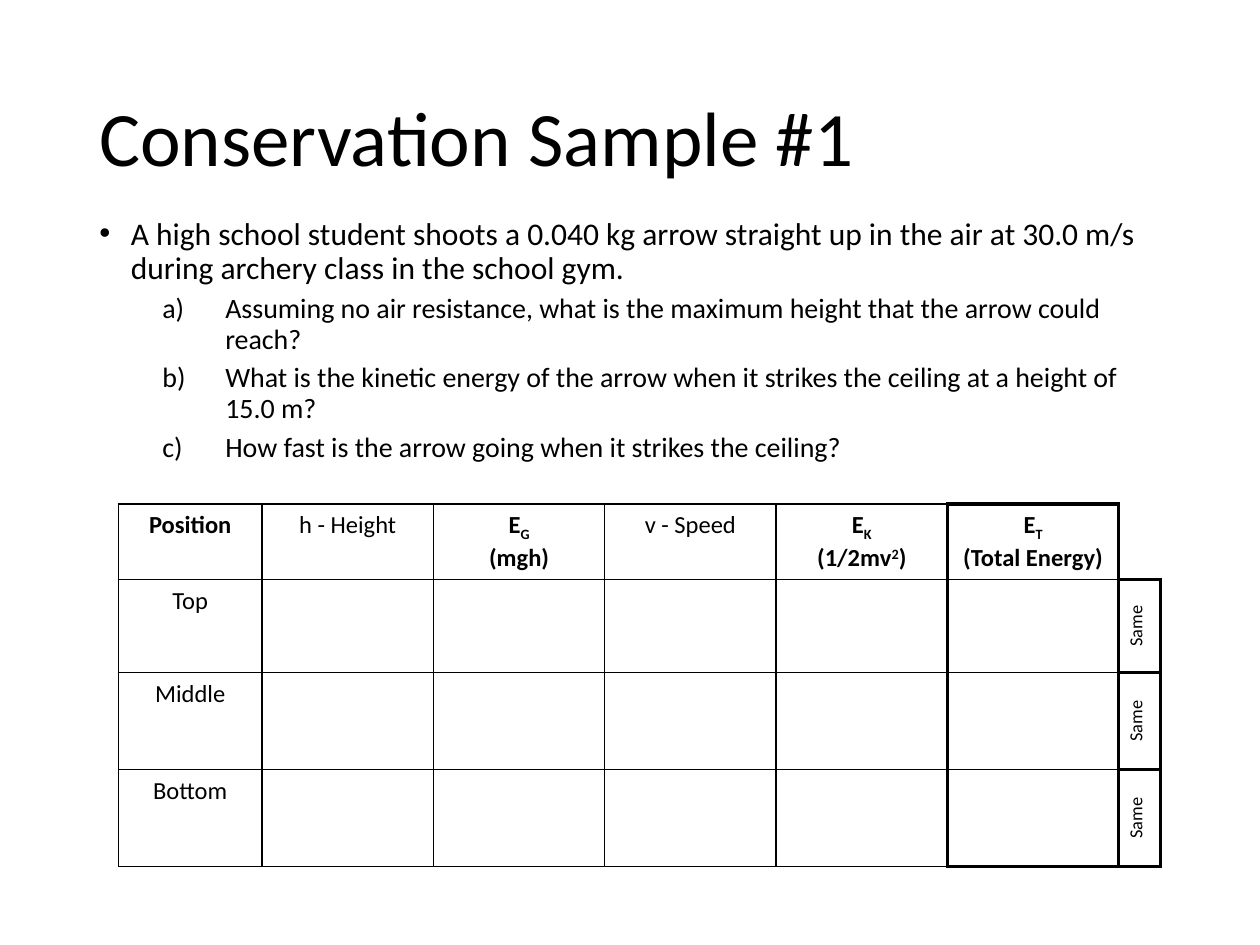
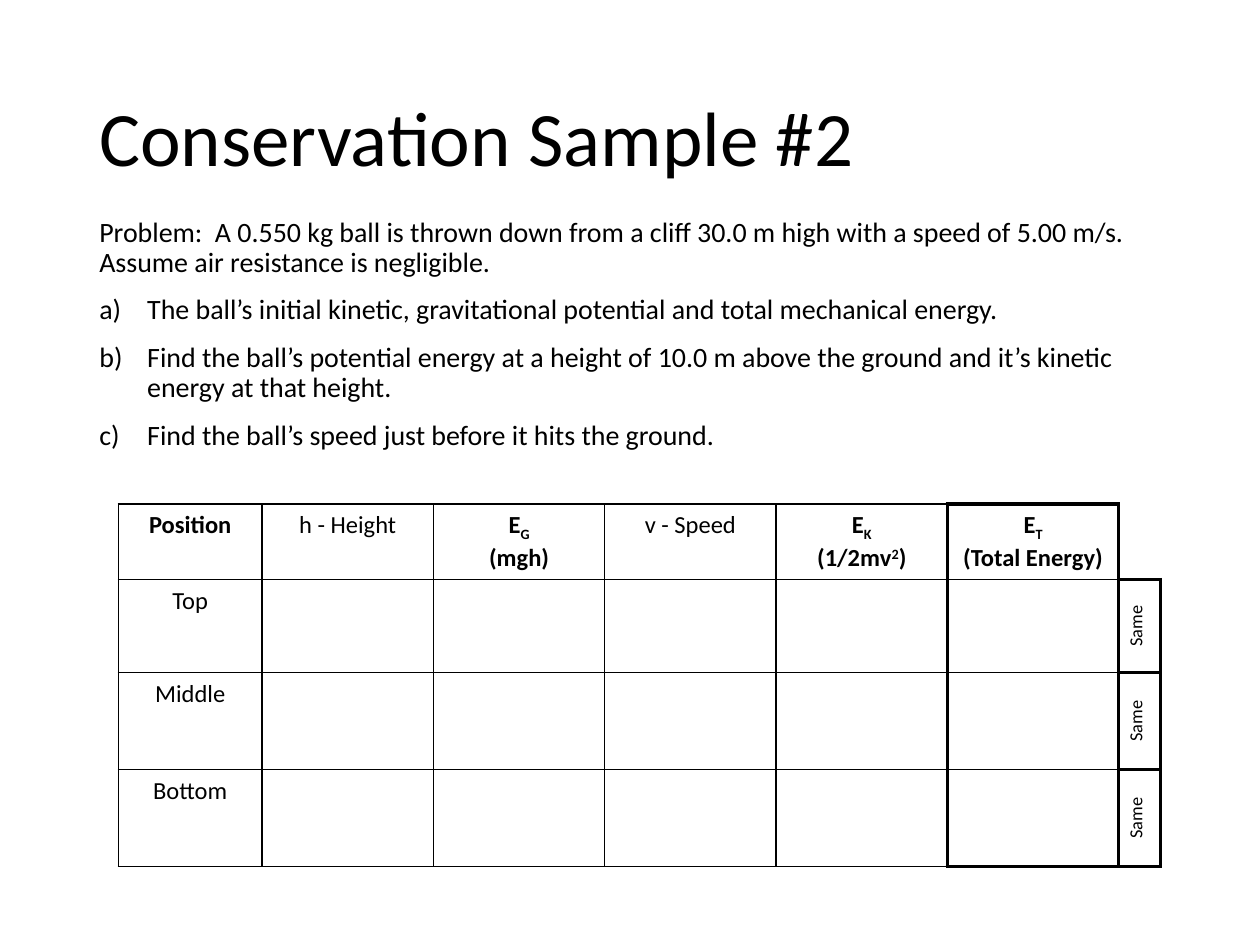
"""Two energy conservation problems, each with a table to fill in."""
from lxml import etree
from pptx import Presentation
from pptx.dml.color import RGBColor
from pptx.enum import text as t
from pptx.oxml.ns import qn
from pptx.util import Inches, Pt

BLACK = "000000"
THIN, THICK = 1, 2.25


def style(p, size, bold=False):
    for r in p.runs:
        r.font.name, r.font.size, r.font.bold = "Calibri", Pt(size), bold
        r.font.color.rgb = RGBColor.from_string(BLACK)


def border(cell, side, width):
    ln = etree.SubElement(cell._tc.get_or_add_tcPr(), qn("a:ln" + side), w=str(Pt(width)))
    if width:
        fill = etree.SubElement(ln, qn("a:solidFill"))
        etree.SubElement(fill, qn("a:srgbClr"), val=BLACK)
    else:
        etree.SubElement(ln, qn("a:noFill"))


# text, size, left margin, hanging indent, space before, bullet
problems = [
    ("Conservation Sample #1", [
        ("A high school student shoots a 0.040 kg arrow straight up in the air at 30.0 m/s "
         "during archery class in the school gym.", 18, 0.25, 0.25, 0, "•"),
        ("Assuming no air resistance, what is the maximum height that the arrow could reach?",
         16, 1, 0.5, 5, "a)"),
        ("What is the kinetic energy of the arrow when it strikes the ceiling at a height of 15.0 m?",
         16, 1, 0.5, 5, "a)"),
        ("How fast is the arrow going when it strikes the ceiling?", 16, 1, 0.5, 5, "a)"),
    ]),
    ("Conservation Sample #2", [
        ("Problem:  A 0.550 kg ball is thrown down from a cliff 30.0 m high with a speed of "
         "5.00 m/s.  Assume air resistance is negligible.", 16, 0, 0, 0, None),
        ("The ball’s initial kinetic, gravitational potential and total mechanical energy.",
         16, 0.38, 0.38, 10, "a)"),
        ("Find the ball’s potential energy at a height of 10.0 m above the ground and it’s "
         "kinetic energy at that height.", 16, 0.38, 0.38, 10, "a)"),
        ("Find the ball’s speed just before it hits the ground.", 16, 0.38, 0.38, 10, "a)"),
    ]),
]

# each heading is a list of lines, each line a list of (text, baseline percent)
headings = [
    [[("Position", 0)]],
    [[("h - Height", 0)]],
    [[("E", 0), ("G", -25)], [("(mgh)", 0)]],
    [[("v - Speed", 0)]],
    [[("E", 0), ("K", -25)], [("(1/2mv", 0), ("2", 30), (")", 0)]],
    [[("E", 0), ("T", -25)], [("(Total Energy)", 0)]],
]
bold_columns = (0, 2, 4, 5)
positions = ["Top", "Middle", "Bottom"]
col_widths = [1.14] + [1.36] * 5 + [0.33]
row_heights = [0.56, 0.74, 0.77, 0.77]
total_col, same_col = 5, 6
last_row = len(positions)

prs = Presentation()
prs.slide_width, prs.slide_height = Inches(10), Inches(7.5)

for title, lines in problems:
    s = prs.slides.add_slide(prs.slide_layouts[6])

    tf = s.shapes.add_textbox(Inches(0.69), Inches(0.4), Inches(8.62), Inches(1.45)).text_frame
    tf.word_wrap = True
    tf.vertical_anchor = t.MSO_ANCHOR.MIDDLE
    tf.text = title
    tf.paragraphs[0].line_spacing = 0.9
    style(tf.paragraphs[0], 44)

    tf = s.shapes.add_textbox(Inches(0.69), Inches(1.68), Inches(8.62), Inches(2.18)).text_frame
    tf.word_wrap = True
    tf.text = "\n".join(line[0] for line in lines)
    for p, (_, size, margin, hang, before, bullet) in zip(tf.paragraphs, lines):
        p.line_spacing = 0.9
        p.space_before = Pt(before)
        pPr = p._p.get_or_add_pPr()
        pPr.set("marL", str(Inches(margin)))
        pPr.set("indent", str(-Inches(hang)))
        if bullet == "•":
            etree.SubElement(pPr, qn("a:buFont"), typeface="Arial")
            etree.SubElement(pPr, qn("a:buChar"), char=bullet)
        elif bullet:
            etree.SubElement(pPr, qn("a:buAutoNum"), type="alphaLcParenR")
        style(p, size)

    table = s.shapes.add_table(len(row_heights), len(col_widths), Inches(0.94), Inches(4),
                               Inches(sum(col_widths)), Inches(sum(row_heights))).table
    table.first_row = table.horz_banding = False
    for column, width in zip(table.columns, col_widths):
        column.width = Inches(width)
    for row, height in zip(table.rows, row_heights):
        row.height = Inches(height)

    for c, heading in enumerate(headings):
        tf = table.cell(0, c).text_frame
        for i, line in enumerate(heading):
            p = tf.add_paragraph() if i else tf.paragraphs[0]
            p.alignment = t.PP_ALIGN.CENTER
            for words, baseline in line:
                r = p.add_run()
                r.text = words
                if baseline:
                    r.font._element.set("baseline", str(baseline * 1000))
            style(p, 14, c in bold_columns)

    for row, position in enumerate(positions, 1):
        for c, words, size in ((0, position, 14), (same_col, "Same", 10.5)):
            cell = table.cell(row, c)
            cell.text_frame.text = words
            p = cell.text_frame.paragraphs[0]
            p.alignment = t.PP_ALIGN.CENTER
            style(p, size)
        cell._tc.get_or_add_tcPr().set("vert", "vert270")

    for row in range(len(row_heights)):
        for c in range(len(col_widths)):
            cell = table.cell(row, c)
            widths = dict.fromkeys("LRTB", THIN)
            if c == total_col - 1:
                widths["R"] = THICK
            elif c == total_col:
                widths.update(L=THICK, R=THICK)
                if row == 0:
                    widths["T"] = THICK
                if row == last_row:
                    widths["B"] = THICK
            elif c == same_col:
                widths = dict.fromkeys("LRTB", THICK)
                if row == 0:
                    widths.update(R=0, T=0)
            for side, width in widths.items():
                border(cell, side, width)
            cell.fill.background()

prs.save("out.pptx")
